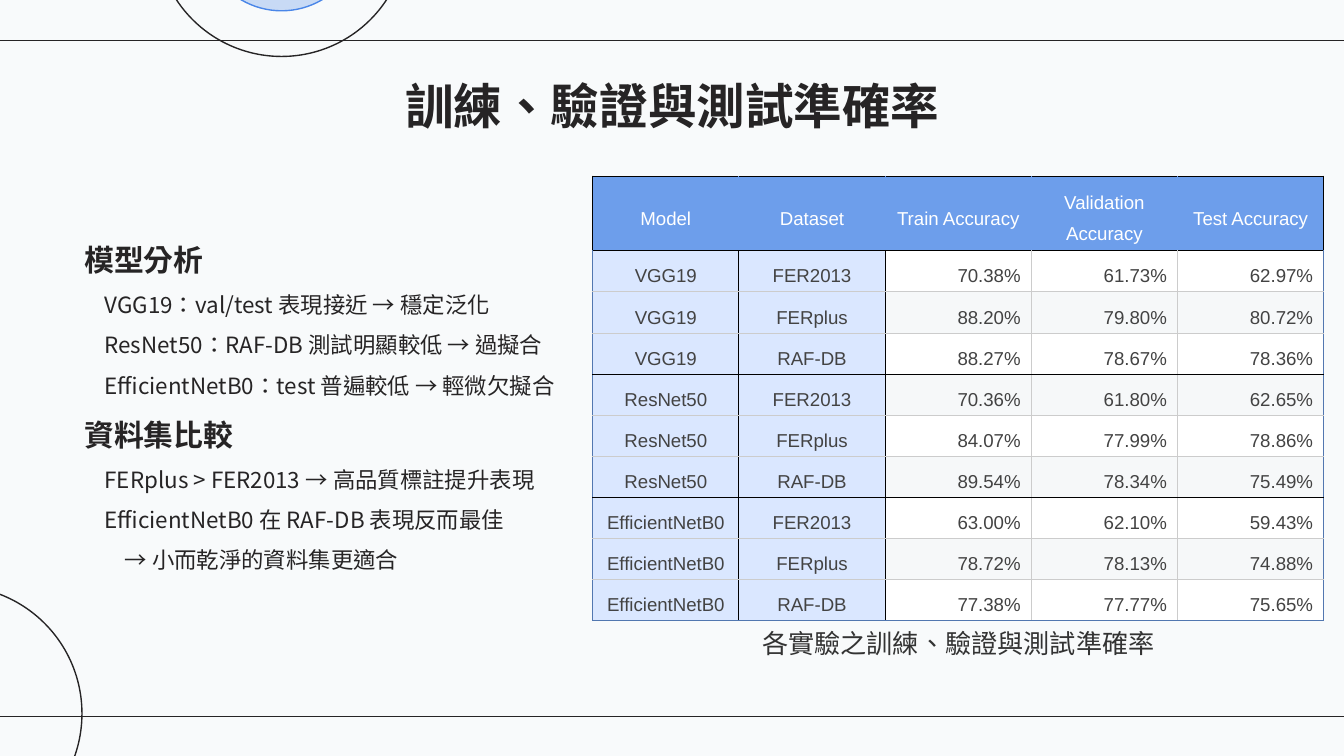
"""Build a slide comparing model accuracy across datasets."""
from lxml import etree
from pptx import Presentation
from pptx.dml.color import RGBColor
from pptx.enum.lang import MSO_LANGUAGE_ID
from pptx.enum.shapes import MSO_CONNECTOR, MSO_SHAPE
from pptx.enum.text import MSO_ANCHOR, PP_ALIGN
from pptx.oxml.ns import qn
from pptx.util import Inches, Pt

STRAIGHT = MSO_CONNECTOR.STRAIGHT
OVAL = MSO_SHAPE.OVAL
MIDDLE = MSO_ANCHOR.MIDDLE
CENTER, RIGHT = PP_ALIGN.CENTER, PP_ALIGN.RIGHT
CHINESE = MSO_LANGUAGE_ID.TRADITIONAL_CHINESE
CJK_FONT = "Noto Sans CJK TC"
INK, BLUE, HEADER_BLUE = "262425", "4A86E8", "6D9EEB"
BLACK, GRAY, EDGE_BLUE = "000000", "CCCCCC", "5277B0"


def rgb(value):
    return RGBColor.from_string(value)


def style_text(para, font_name, size, color, bold=False):
    for span in para.runs:
        span.font.name = font_name
        span.font.size = Pt(size)
        span.font.bold = bold
        span.font.language_id = CHINESE
        span.font.color.rgb = rgb(color)
        east_asian = etree.Element(qn("a:ea"), typeface=CJK_FONT)
        span.font._element.find(qn("a:latin")).addnext(east_asian)


deck = Presentation()
deck.slide_width, deck.slide_height = Inches(10), Inches(10 * 9 / 16)
page = deck.slides.add_slide(deck.slide_layouts[6])
page.background.fill.solid()
page.background.fill.fore_color.rgb = rgb("F8FAFB")

for y in (0.3, 5.33):
    rule = page.shapes.add_connector(
        STRAIGHT, Inches(10.02), Inches(y), Inches(-0.02), Inches(y))
    rule.line.color.rgb = rgb(INK)
    rule.line.width = Pt(0.75)
    etree.SubElement(rule._element.spPr, qn("a:effectLst"))

for left, top, size, outline, filled in (
    (1.16, -1.45, 1.87, INK, False),
    (1.5, -1.11, 1.19, BLUE, True),
    (-1.29, 4.36, 1.9, INK, False),
):
    circle = page.shapes.add_shape(
        OVAL, Inches(left), Inches(top), Inches(size), Inches(size))
    circle.shadow.inherit = False
    circle.line.color.rgb = rgb(outline)
    circle.line.width = Pt(0.75)
    if filled:
        circle.fill.solid()
        circle.fill.fore_color.rgb = rgb(BLUE)
        fill_color = circle._element.spPr.find(qn("a:solidFill"))[0]
        etree.SubElement(fill_color, qn("a:alpha"), val="27000")
    else:
        circle.fill.background()

title = page.shapes.add_textbox(Inches(0.79), Inches(0.45), Inches(8.43), Inches(0.67))
title.text_frame.word_wrap = True
title.text_frame.vertical_anchor = MIDDLE
title.text_frame.text = "訓練、驗證與測試準確率"
title.text_frame.paragraphs[0].alignment = CENTER
style_text(title.text_frame.paragraphs[0], CJK_FONT, 26, INK, True)

caption = page.shapes.add_textbox(Inches(5.52), Inches(4.62), Inches(3.2), Inches(0.34))
caption.text_frame.word_wrap = False
caption.text_frame.margin_left = Inches(0.15)
caption.text_frame.text = "各實驗之訓練、驗證與測試準確率"
style_text(caption.text_frame.paragraphs[0], "Arial", 14, "333333")

analysis = (
    (0, "模型分析"),
    (1, "VGG19：val/test 表現接近 → 穩定泛化"),
    (1, "ResNet50：RAF-DB 測試明顯較低 → 過擬合"),
    (1, "EfficientNetB0：test 普遍較低 → 輕微欠擬合"),
    (0, "資料集比較"),
    (1, "FERplus > FER2013 → 高品質標註提升表現"),
    (1, "EfficientNetB0 在 RAF-DB 表現反而最佳"),
    (2, "→ 小而乾淨的資料集更適合"),
)
box = page.shapes.add_textbox(Inches(0.53), Inches(1.62), Inches(4.19), Inches(2.69))
box.text_frame.word_wrap = True
box.text_frame.vertical_anchor = MIDDLE
for index, (level, text) in enumerate(analysis):
    para = box.text_frame.add_paragraph() if index else box.text_frame.paragraphs[0]
    para.text = text
    para.line_spacing = 1.5
    para._p.get_or_add_pPr().set("marL", str(Inches(0.15 * level)))
    style_text(para, CJK_FONT, 12 if level else 16, INK, level == 0)

header = ("Model", "Dataset", "Train Accuracy", "Validation Accuracy", "Test Accuracy")
results = (
    ("VGG19", "FER2013", "70.38%", "61.73%", "62.97%"),
    ("VGG19", "FERplus", "88.20%", "79.80%", "80.72%"),
    ("VGG19", "RAF-DB", "88.27%", "78.67%", "78.36%"),
    ("ResNet50", "FER2013", "70.36%", "61.80%", "62.65%"),
    ("ResNet50", "FERplus", "84.07%", "77.99%", "78.86%"),
    ("ResNet50", "RAF-DB", "89.54%", "78.34%", "75.49%"),
    ("EfficientNetB0", "FER2013", "63.00%", "62.10%", "59.43%"),
    ("EfficientNetB0", "FERplus", "78.72%", "78.13%", "74.88%"),
    ("EfficientNetB0", "RAF-DB", "77.38%", "77.77%", "75.65%"),
)
rows = (header, *results)
table_frame = page.shapes.add_table(
    len(rows), len(header), Inches(4.41), Inches(1.31), Inches(5.44), Inches(3.31))
table = table_frame.table
table.first_row = table.horz_banding = False
for row in table.rows:
    row.height = Inches(0.22)
table_frame.height = Inches(3.31)

header_edges = (BLACK, *[HEADER_BLUE] * 4, BLACK)
body_edges = (EDGE_BLUE, BLACK, BLACK, GRAY, GRAY, EDGE_BLUE)
row_edges = (BLACK, *(BLACK, GRAY, GRAY) * 3, EDGE_BLUE)

for r, values in enumerate(rows):
    column_edges = body_edges if r else header_edges
    for c, value in enumerate(values):
        cell = table.cell(r, c)
        cell.text_frame.text = value
        cell.vertical_anchor = MIDDLE
        cell.margin_left = cell.margin_right = Inches(0.08)
        cell.margin_top = cell.margin_bottom = Inches(2 / 72)
        para = cell.text_frame.paragraphs[0]
        para.alignment = RIGHT if r and c > 1 else CENTER
        para.line_spacing = 1.5
        style_text(para, "Arial", 10, "434343" if r else "FFFFFF")
        for side, color in (
            ("L", column_edges[c]), ("R", column_edges[c + 1]),
            ("T", row_edges[r]), ("B", row_edges[r + 1]),
        ):
            border = etree.SubElement(
                cell._tc.get_or_add_tcPr(), qn(f"a:ln{side}"), w=str(Pt(0.6)))
            border_fill = etree.SubElement(border, qn("a:solidFill"))
            etree.SubElement(border_fill, qn("a:srgbClr"), val=color)
        if r == 0:
            shade = HEADER_BLUE
        elif c < 2:
            shade = "DAE7FF"
        else:
            shade = "FFFFFF" if r % 2 else "F6F8F9"
        cell.fill.solid()
        cell.fill.fore_color.rgb = rgb(shade)

deck.save("out.pptx")
